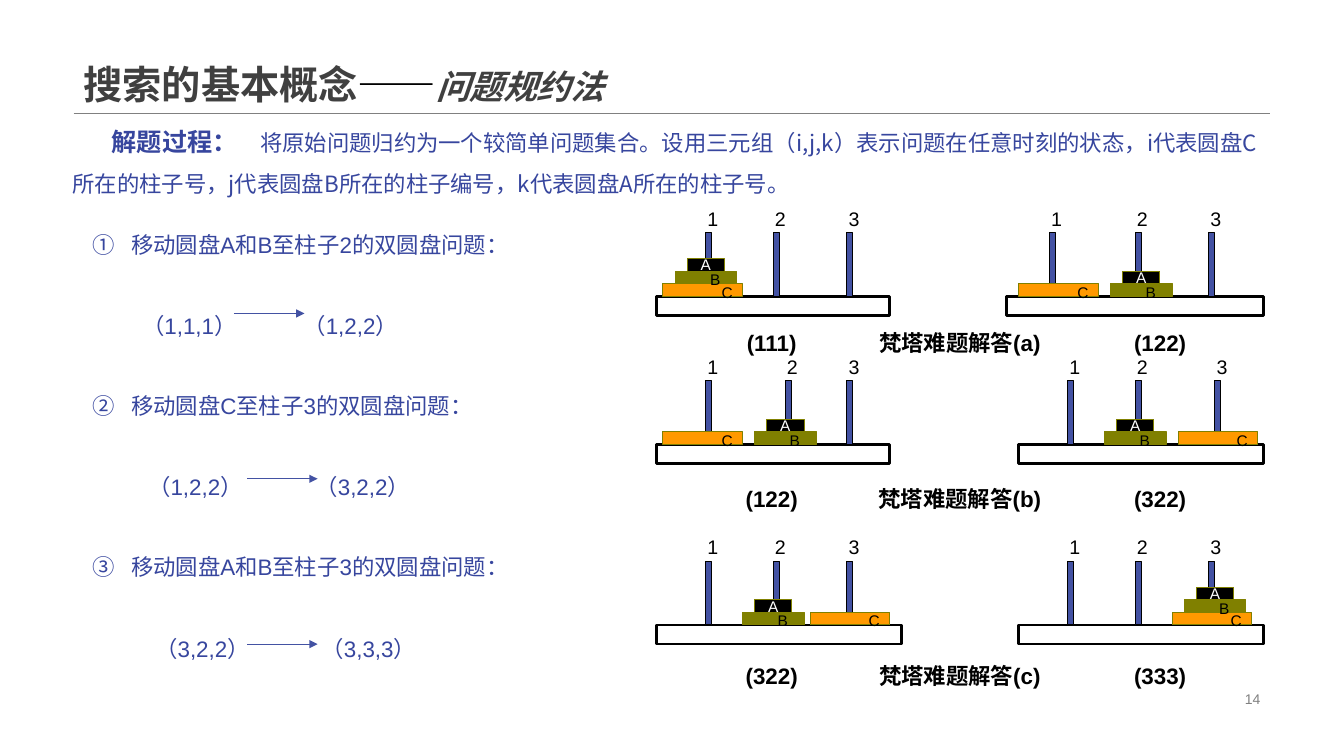
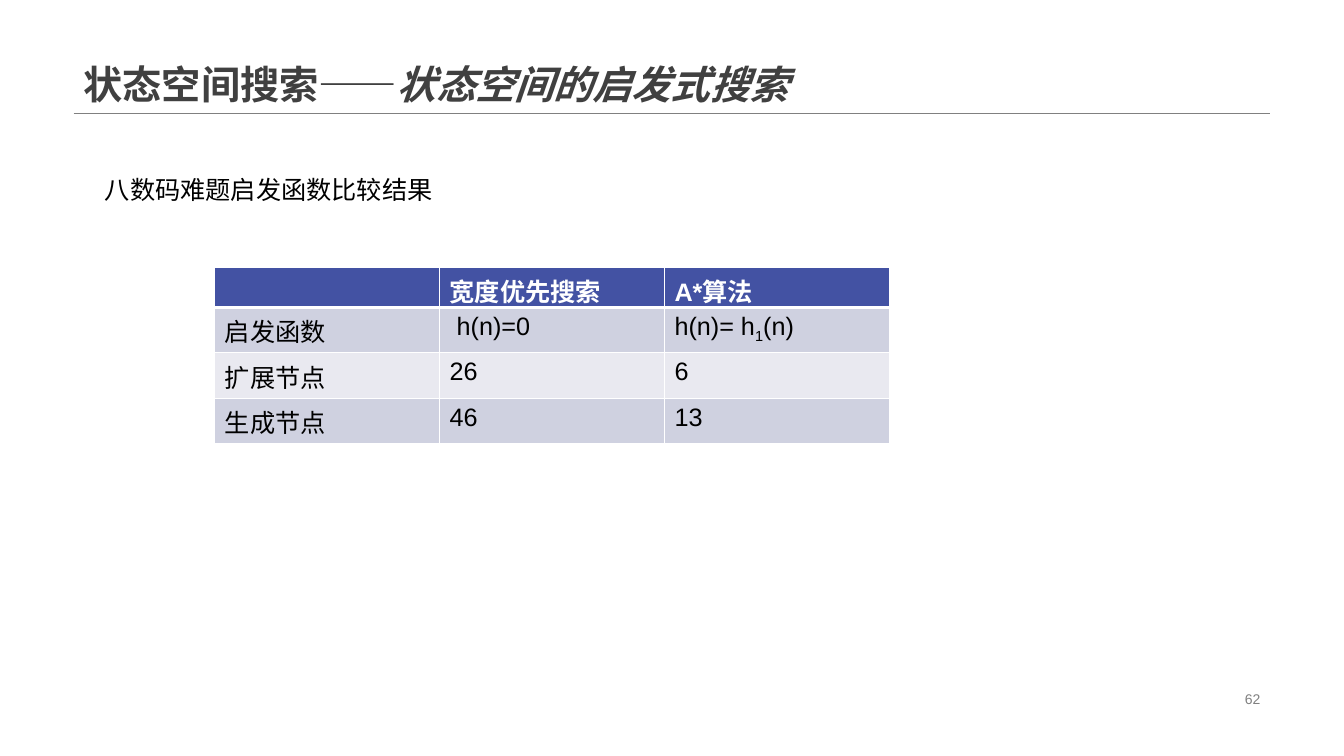
from collections import Counter
from dataclasses import dataclass

from lxml.etree import SubElement
from pptx import Presentation
from pptx.dml.color import RGBColor
from pptx.enum.shapes import MSO_CONNECTOR, MSO_SHAPE, PP_PLACEHOLDER
from pptx.enum.text import MSO_ANCHOR, MSO_AUTO_SIZE, PP_ALIGN
from pptx.oxml.ns import qn
from pptx.util import Inches, Pt

# Shared look: lengths are grid cells, ten to the inch
CELL = Inches(0.1)
LATIN, CJK = "Arial", "Noto Sans CJK SC"
BLACK, WHITE, GREY, DARK = "000000", "FFFFFF", "808080", "404040"
INDIGO, PEG_BLUE, OLIVE, ORANGE = "37469E", "4352A3", "808000", "FF9900"
BANDS = ("CFD1E0", "E9E9F0")


def cells(count):
    return round(count * CELL)


def rgb(value):
    return RGBColor.from_string(value)


@dataclass
class Box:
    left: float
    top: float
    width: float
    height: float

    def inner(self, left, top, width, height):
        return Box(self.left + left, self.top + top, width, height)

    def emu(self):
        return [cells(n) for n in (self.left, self.top, self.width, self.height)]


TITLE = Box(7.3, 0, 118.7, 11.2)
PAGE_NUMBER = Box(94.2, 68.2, 31.8, 2.3)
INTRO = Box(6.2, 10.7, 121.4, 9.1)
STEPS = Box(8.2, 21.1, 55, 45)
STEP_PITCH = 16
DIAGRAM_LEFT, DIAGRAM_WIDTH = 65.1, 60.2
CAPTION_SHARES = (0.19, 0.5, 0.83)
COMPARISON = Box(21.3, 26.5, 66.9, 17.6)

# Disk name: width, fill, text colour, right inset (None centres the name)
DISKS = {
    "C": (7.9, ORANGE, BLACK, 1),
    "B": (6.1, OLIVE, BLACK, 1.6),
    "A": (3.7, BLACK, WHITE, None),
}
DISK_HEIGHT, PEG_WIDTH, PEG_HEIGHT, BASE_HEIGHT = 1.25, 0.6, 6.3, 1.9

# Per row: top of bases, caption drop, letter, then the two stands as
# (state, base left, base width, peg centres, shift of C, shift of B and A)
PUZZLE_ROWS = [
    (29.4, 4.6, "a", [
        ("111", 0, 23.1, (5.2, 11.9, 19.2), -0.6, -0.3),
        ("122", 34.7, 25.5, (4.6, 13.1, 20.4), 0.6, 0.3)]),
    (44.1, 5.4, "b", [
        ("122", 0, 23.1, (5.2, 13.1, 19.2), -0.6, -0.3),
        ("322", 35.9, 24.3, (5.2, 11.9, 19.8), 0, -0.3)]),
    (62, 5, "c", [
        ("322", 0, 24.3, (5.2, 11.9, 19.2), 0, -0.3),
        ("333", 35.9, 24.3, (5.2, 11.9, 19.2), 0, 0.3)]),
]

# Per step: task, then (state, left) before and after, then arrow left and top
TASKS = [
    ("移动圆盘A和B至柱子2的双圆盘问题：",
     ("（1,1,1）", 5.9), ("（1,2,2）", 21.9), 15, 10),
    ("移动圆盘C至柱子3的双圆盘问题：",
     ("（1,2,2）", 6.5), ("（3,2,2）", 23.1), 16.3, 10.4),
    ("移动圆盘A和B至柱子3的双圆盘问题：",
     ("（3,2,2）", 7.2), ("（3,3,3）", 23.7), 16.3, 10.8),
]

RESULTS = [
    ("", "宽度优先搜索", "A*算法"),
    ("启发函数", " h(n)=0", "h(n)= h1(n)"),
    ("扩展节点", "26", "6"),
    ("生成节点", "46", "13"),
]


def format_run(run, size, color, bold=False, italic=False, font=LATIN):
    run.font.name, run.font.size = font, Pt(size)
    run.font.bold, run.font.italic = bold, italic
    run.font.color.rgb = rgb(color)


def set_margins(frame, left=0, top=0, right=0, bottom=0):
    frame.margin_left, frame.margin_top = cells(left), cells(top)
    frame.margin_right, frame.margin_bottom = cells(right), cells(bottom)


def add_runs(paragraph, pieces):
    for text, style in pieces:
        run = paragraph.add_run()
        run.text = text
        format_run(run, **style)


def add_label(slide, box, text, size, color=BLACK, bold=False,
              align=PP_ALIGN.CENTER):
    frame = slide.shapes.add_textbox(*box.emu()).text_frame
    frame.word_wrap = True
    frame.vertical_anchor = MSO_ANCHOR.MIDDLE
    set_margins(frame)
    frame.text = text
    frame.paragraphs[0].alignment = align
    format_run(frame.paragraphs[0].runs[0], size, color, bold)


def add_block(slide, box, fill, outline, weight):
    block = slide.shapes.add_shape(MSO_SHAPE.RECTANGLE, *box.emu())
    block.shadow.inherit = False
    block.fill.solid()
    block.fill.fore_color.rgb = rgb(fill)
    block.line.color.rgb = rgb(outline)
    block.line.width = Pt(weight)
    return block


def add_rule(slide, left, top, width, color, weight, arrow=False):
    x, y = cells(left), cells(top)
    rule = slide.shapes.add_connector(
        MSO_CONNECTOR.STRAIGHT, x, y, x + cells(width), y)
    rule.line.color.rgb = rgb(color)
    rule.line.width = Pt(weight)
    if arrow:
        SubElement(rule.line._get_or_add_ln(), qn("a:tailEnd"), type="triangle")
    SubElement(rule.element.spPr, qn("a:effectLst"))
    return rule


# Title place on the master, inherited by every slide
def place_master_title(master):
    title = master.placeholders.get(PP_PLACEHOLDER.TITLE)
    title.left, title.top, title.width, title.height = TITLE.emu()
    title.text_frame.vertical_anchor = MSO_ANCHOR.BOTTOM
    title.text_frame.auto_size = MSO_AUTO_SIZE.NONE


# Rule under the title, moved to the master so that all slides show it
def share_title_rule(master, slide):
    rule = add_rule(slide, TITLE.left, TITLE.height, TITLE.width, GREY, 0.25)
    master.shapes.element.append(rule.element)


def add_titled_slide(prs, layout, number, title_pieces):
    slide = prs.slides.add_slide(prs.slide_layouts.get_by_name(layout))
    heading = slide.shapes.title.text_frame.paragraphs[0]
    heading.alignment = PP_ALIGN.LEFT
    heading.line_spacing = 0.9
    add_runs(heading, [(text, dict(size=size, color=color, bold=True, italic=italic))
                       for text, size, color, italic in title_pieces])
    add_label(slide, PAGE_NUMBER.inner(0, 0, PAGE_NUMBER.width - 1, 2.3),
              number, 10, GREY, align=PP_ALIGN.RIGHT)
    return slide


def add_intro(slide, box):
    frame = slide.shapes.add_textbox(*box.emu()).text_frame
    frame.word_wrap = True
    frame.vertical_anchor = MSO_ANCHOR.MIDDLE
    intro = frame.paragraphs[0]
    intro.line_spacing = 1.5
    intro._p.get_or_add_pPr().set("indent", str(cells(3.9)))
    add_runs(intro, [
        ("解题过程：", dict(size=18, color=INDIGO, bold=True, font=CJK)),
        ("　将原始问题归约为一个较简单问题集合。设用三元组（i,j,k）表示问题在任意时刻的状态，"
         "i代表圆盘C所在的柱子号，j代表圆盘B所在的柱子编号，k代表圆盘A所在的柱子号。",
         dict(size=16, color=INDIGO, font=CJK))])


# Numbered tasks, each with its change of state below
def add_steps(slide, box):
    body = slide.placeholders[1]
    body.left, body.top, body.width, body.height = box.emu()
    frame = body.text_frame
    frame.auto_size = MSO_AUTO_SIZE.NONE
    frame.text = "\n".join(task[0] for task in TASKS)
    for index, (paragraph, task) in enumerate(zip(frame.paragraphs, TASKS)):
        paragraph.line_spacing = 1.5
        paragraph.space_before = Pt(86.3 if index else 0)
        properties = paragraph._p.get_or_add_pPr()
        properties.set("marL", str(cells(3.8)))
        properties.set("indent", str(cells(-3.8)))
        SubElement(properties, qn("a:buFont"), typeface="+mj-lt")
        SubElement(properties, qn("a:buAutoNum"), type="circleNumDbPlain")
        format_run(paragraph.runs[0], 16, INDIGO)

        step = box.inner(0, index * STEP_PITCH, box.width, STEP_PITCH)
        _, before, after, arrow_left, arrow_top = task
        for state, left in (before, after):
            add_label(slide, step.inner(left, 9.7, 12, 3), state, 16, INDIGO,
                      align=PP_ALIGN.LEFT)
        add_rule(slide, step.left + arrow_left, step.top + arrow_top, 7,
                 PEG_BLUE, 0.5, arrow=True)


def add_disk(slide, name, center, top, box):
    width, fill, ink, inset = DISKS[name]
    disk = add_block(slide, box.inner(center - width / 2, top, width, DISK_HEIGHT),
                     fill, OLIVE, 0.75)
    frame = disk.text_frame
    frame.word_wrap = True
    frame.vertical_anchor = MSO_ANCHOR.MIDDLE
    set_margins(frame, top=0.4 if inset else 0, right=inset or 0)
    frame.text = name
    frame.paragraphs[0].alignment = PP_ALIGN.RIGHT if inset else PP_ALIGN.CENTER
    format_run(frame.paragraphs[0].runs[0], 11, ink)


# One stand: its state names the peg of disks C, B and A in turn
def add_stand(slide, box, state, pegs, shift_c, shift_ab):
    add_block(slide, box, WHITE, BLACK, 2)
    for number, center in enumerate(pegs, 1):
        add_block(slide, box.inner(center - PEG_WIDTH / 2, -PEG_HEIGHT,
                                   PEG_WIDTH, PEG_HEIGHT), PEG_BLUE, BLACK, 0.75)
        add_label(slide, box.inner(center - 1.1, -9.1, 3, 2.7), str(number), 14)
    stacked = Counter()
    for name, peg in zip("CBA", state):
        stacked[peg] += 1
        shift = shift_c if name == "C" else shift_ab
        add_disk(slide, name, pegs[int(peg) - 1] + shift,
                 -DISK_HEIGHT * stacked[peg], box)


def add_puzzle_row(slide, box, caption_drop, letter, stands):
    for state, left, width, *details in stands:
        add_stand(slide, box.inner(left, 0, width, BASE_HEIGHT), state, *details)
    captions = (f"({stands[0][0]})", f"梵塔难题解答({letter})", f"({stands[1][0]})")
    for share, caption in zip(CAPTION_SHARES, captions):
        add_label(slide, box.inner(share * box.width - 10, caption_drop - 1.5, 20, 3),
                  caption, 16, bold=True)


def set_borders(cell, row):
    properties = cell._tc.get_or_add_tcPr()
    weights = {"L": 1, "R": 1, "T": 3 if row == 1 else 1, "B": 1 if row else 3}
    for side, weight in weights.items():
        edge = SubElement(properties, qn("a:ln" + side), w=str(Pt(weight)))
        SubElement(SubElement(edge, qn("a:solidFill")), qn("a:srgbClr"), val=WHITE)


def add_comparison(slide, box):
    table = slide.shapes.add_table(len(RESULTS), 3, *box.emu()).table
    table.horz_banding = False
    for column in table.columns:
        column.width = cells(box.width / 3)
    for row, values in enumerate(RESULTS):
        table.rows[row].height = cells(4.5 if row else 4)
        for column, value in enumerate(values):
            cell = table.cell(row, column)
            set_borders(cell, row)
            cell.fill.solid()
            cell.fill.fore_color.rgb = rgb(BANDS[(row - 1) % 2] if row else PEG_BLUE)
            style = dict(size=18, color=BLACK if row else WHITE, bold=not row)
            head, mark, tail = value.partition("h1")
            pieces = [head + "h", "1", tail] if mark else [value]
            if value:
                add_runs(cell.text_frame.paragraphs[0],
                         [(piece, style) for piece in pieces])
            if mark:
                index_run = cell.text_frame.paragraphs[0].runs[1]
                index_run._r.get_or_add_rPr().set("baseline", "-25000")


def build_reduction_slide(prs):
    slide = add_titled_slide(prs, "Title and Content", "14", [
        ("搜索的基本概念", 28, DARK, False), ("——", 28, BLACK, False),
        ("问题规约法", 24, DARK, True)])
    add_intro(slide, INTRO)
    for top, *details in PUZZLE_ROWS:
        add_puzzle_row(slide, Box(DIAGRAM_LEFT, top, DIAGRAM_WIDTH, BASE_HEIGHT),
                       *details)
    add_steps(slide, STEPS)
    return slide


def build_heuristic_slide(prs):
    slide = add_titled_slide(prs, "Title Only", "62", [
        ("状态空间搜索——", 28, DARK, False), ("状态空间的启发式搜索", 28, DARK, True)])
    add_label(slide, Box(10.4, 16.8, 42, 4), "八数码难题启发函数比较结果", 18,
              align=PP_ALIGN.LEFT)
    add_comparison(slide, COMPARISON)


def main():
    prs = Presentation()
    prs.slide_width, prs.slide_height = Inches(13.33), Inches(7.5)
    place_master_title(prs.slide_master)
    share_title_rule(prs.slide_master, build_reduction_slide(prs))
    build_heuristic_slide(prs)
    prs.save("out.pptx")


if __name__ == "__main__":
    main()
